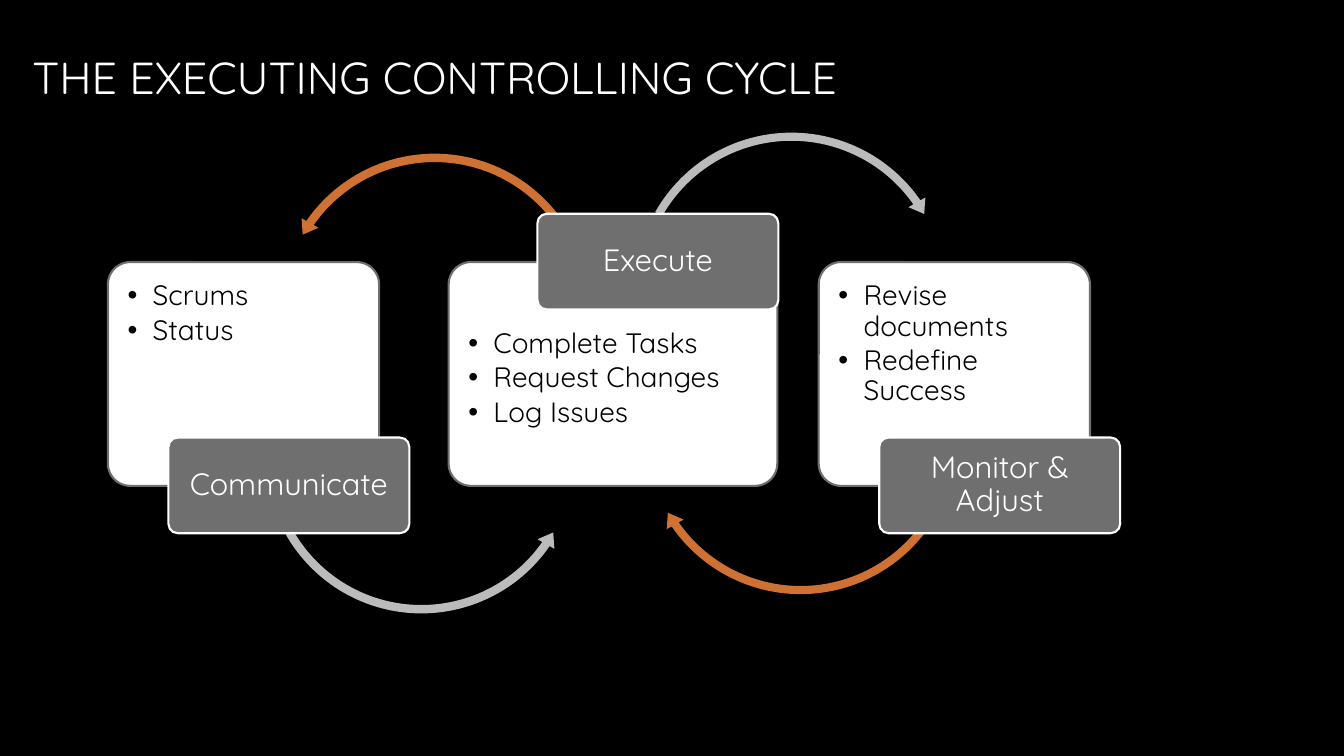
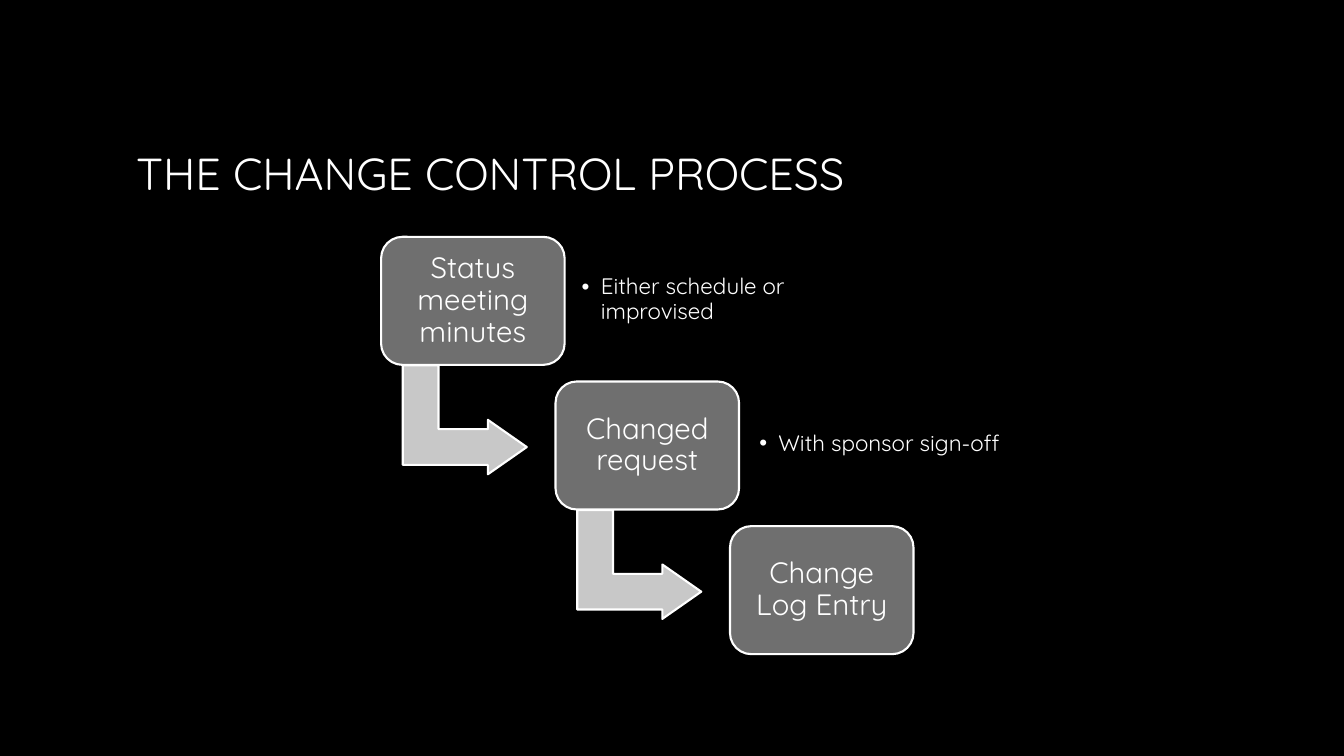
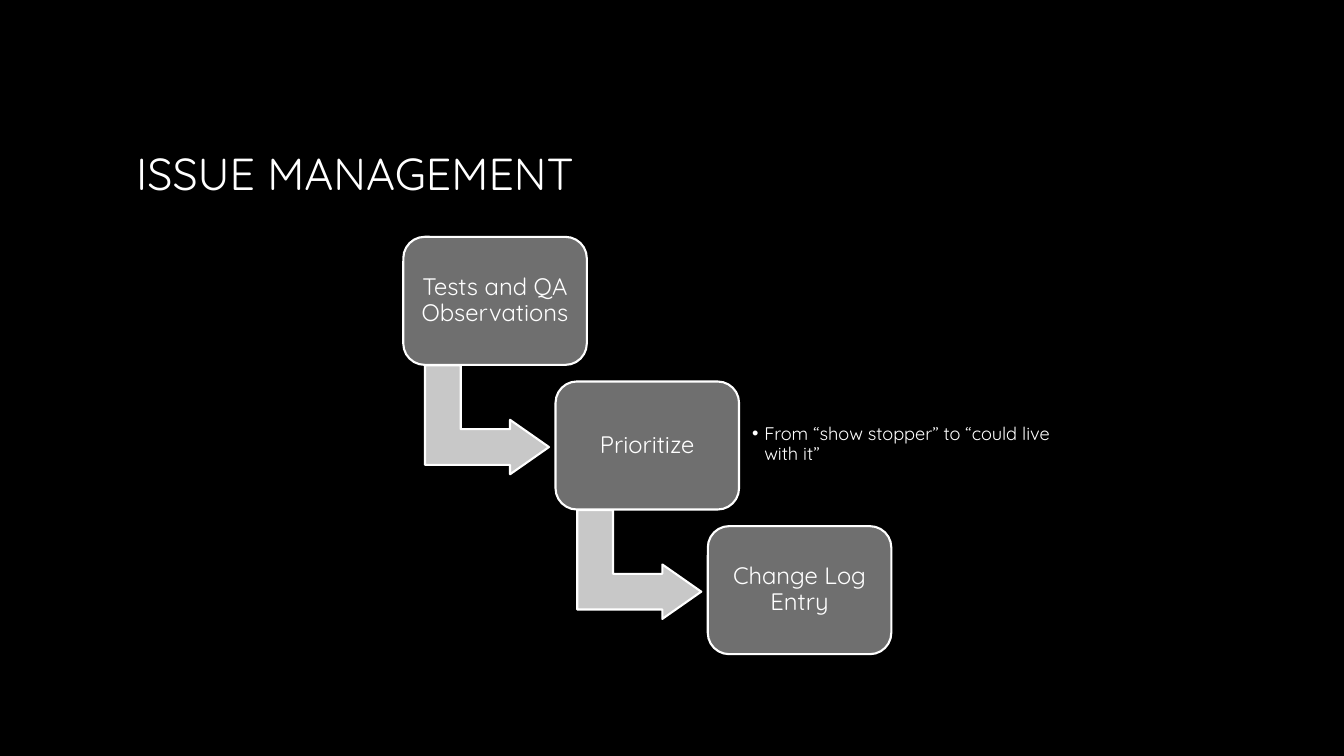
from dataclasses import dataclass

from lxml.etree import SubElement
from pptx import Presentation
from pptx.dml.color import RGBColor
from pptx.enum.shapes import MSO_SHAPE as Preset
from pptx.enum.text import MSO_ANCHOR as Anchor, PP_ALIGN as Align
from pptx.oxml.ns import qn
from pptx.util import Inches, Pt

FONT = "Quicksand"
BLACK = "000000"
WHITE = "FFFFFF"
GRAY = "6F6F6F"
SILVER = "BBBBBB"
ARROW_GRAY = "C8C8C8"
ORANGE = "CF7133"
OUTLINE = 1.5

CLOCKWISE = (Preset.CIRCULAR_ARROW, (0.025, 3.081, 195.164, 125.755, 0.03))
COUNTERCLOCKWISE = (Preset.LEFT_CIRCULAR_ARROW, (0.026, 3.1, 20.855, 90.245, 0.03))
BENT = (Preset.BENT_UP_ARROW, (0.328, 0.25, 0.358))
CARD = (Preset.ROUNDED_RECTANGLE, (0.1,))
STEP = (Preset.ROUNDED_RECTANGLE, (0.167,))


@dataclass(frozen=True)
class Box:
    left: float
    top: float
    width: float
    height: float

    def lengths(self) -> list:
        return [Inches(value) for value in (self.left, self.top, self.width, self.height)]


@dataclass(frozen=True)
class Arc:
    outline: tuple
    left: float
    top: float
    size: float
    color: str
    rotation: int = 0


@dataclass(frozen=True)
class Stage:
    name: str
    items: tuple
    left: float
    width: float
    label_left: float
    label_on_top: bool = False


@dataclass(frozen=True)
class Step:
    name: str
    note: str = ""
    note_left: float = 0
    note_width: float = 0


@dataclass(frozen=True)
class Staircase:
    title: str
    steps: tuple
    first_left: float
    last_left: float
    name_size: int
    note_size: int
    note_indent: float
    inset: float


ARCS = (
    Arc(CLOCKWISE, 6.33, 2.73, 3.22, ORANGE, 180),
    Arc(COUNTERCLOCKWISE, 2.71, 1.47, 3.2, ORANGE, 180),
    Arc(COUNTERCLOCKWISE, 2.58, 2.94, 3.2, SILVER),
    Arc(CLOCKWISE, 6.24, 1.26, 3.22, SILVER),
)
STAGES = (
    Stage("Communicate", ("Scrums", "Status"), 1.07, 2.69, 1.67),
    Stage("Execute", ("Complete Tasks", "Request Changes", "Log Issues"), 4.45, 3.26, 5.33, True),
    Stage("Monitor & Adjust", ("Revise documents", "Redefine Success"), 8.12, 2.69, 8.72),
)
STAIRCASES = (
    Staircase(
        "THE CHANGE CONTROL PROCESS",
        (
            Step("Status meeting minutes", "Either schedule or improvised", 5.68, 2.24),
            Step("Changed request", "With sponsor sign-off", 7.44, 2.85),
            Step("Change Log Entry"),
        ),
        3.78, 7.24, 21, 16, 0.19, 0.09,
    ),
    Staircase(
        "ISSUE MANAGEMENT",
        (
            Step("Tests and QA Observations"),
            Step("Prioritize", "From “show stopper” to “could live with it”", 7.39, 3.16),
            Step("Change Log Entry"),
        ),
        4, 7.02, 17, 13, 0.12, 0.07,
    ),
)


def paint(color_holder, color: str) -> None:
    if hasattr(color_holder, "solid"):
        color_holder.solid()
        color_holder = color_holder.fore_color
    else:
        color_holder = color_holder.color
    color_holder.rgb = RGBColor.from_string(color)


def add_preset(slide, outline: tuple, box: Box, color: str, line: str = "", rotation: int = 0):
    preset, adjustments = outline
    shape = slide.shapes.add_shape(preset, *box.lengths())
    for index, value in enumerate(adjustments):
        shape.adjustments[index] = value
    shape.rotation = rotation
    shape.shadow.inherit = False
    paint(shape.fill, color)
    if line:
        paint(shape.line, line)
        shape.line.width = Pt(OUTLINE)
    else:
        shape.line.fill.background()
    return shape


def add_bullet(paragraph, indent: float) -> None:
    properties = paragraph._p.get_or_add_pPr()
    properties.set("marL", str(Inches(indent)))
    properties.set("indent", str(-Inches(indent)))
    SubElement(properties, qn("a:buFont")).set("typeface", "Arial")
    SubElement(properties, qn("a:buChar")).set("char", "•")


def write(shape, lines: tuple, size: int, color: str, insets: tuple,
          anchor=Anchor.MIDDLE, indent: float = 0) -> None:
    frame = shape.text_frame
    frame.word_wrap = True
    frame.vertical_anchor = anchor
    frame.margin_left, frame.margin_top, frame.margin_right, frame.margin_bottom = map(Inches, insets)
    frame.text = "\n".join(lines)
    for paragraph in frame.paragraphs:
        paragraph.line_spacing = 0.9
        paragraph.alignment = Align.LEFT if indent else Align.CENTER
        paragraph.font.name = FONT
        paragraph.font.size = Pt(size)
        paint(paragraph.font.fill, color)
        if indent:
            paragraph.space_after = Pt(round(size * 0.15))
            add_bullet(paragraph, indent)


def add_title(slide, text: str, left: float, top: float) -> None:
    title = slide.shapes.title
    title.left, title.top, title.width, title.height = Box(left, top, 10.83, 2.08).lengths()
    title.text_frame.text = text
    title.text_frame.vertical_anchor = Anchor.MIDDLE
    paragraph = title.text_frame.paragraphs[0]
    paragraph.alignment = Align.LEFT
    paragraph.font.name = FONT
    paragraph.font.size = Pt(32)
    paint(paragraph.font.fill, WHITE)


def add_stage(slide, stage: Stage) -> None:
    side, label_side = 0.13, 0.6
    top_inset, bottom_inset = (label_side, side) if stage.label_on_top else (side, label_side)
    card = add_preset(slide, CARD, Box(stage.left, 2.6, stage.width, 2.22), WHITE, GRAY)
    write(card, stage.items, 20, BLACK, (side, top_inset, side, bottom_inset), Anchor.TOP, 0.25)
    label_top = 2.12 if stage.label_on_top else 4.34
    label = add_preset(slide, CARD, Box(stage.label_left, label_top, 2.39, 0.95), GRAY, WHITE)
    write(label, (stage.name,), 22, WHITE, (0.04, 0.03, 0.04, 0.03))


def add_cycle(slide) -> None:
    add_title(slide, "THE EXECUTING CONTROLLING CYCLE", 0.22, -0.28)
    for arc in ARCS:
        add_preset(slide, arc.outline, Box(arc.left, arc.top, arc.size, arc.size), arc.color,
                   rotation=arc.rotation)
    for stage in STAGES:
        add_stage(slide, stage)


def add_staircase(slide, staircase: Staircase) -> None:
    add_title(slide, staircase.title, 1.25, 0.67)
    first_top, last_top = 2.35, 5.22
    last = len(staircase.steps) - 1
    insets = (staircase.inset,) * 4
    for index, step in enumerate(staircase.steps):
        left = staircase.first_left + (staircase.last_left - staircase.first_left) * index / last
        top = first_top + (last_top - first_top) * index / last
        if index < last:
            add_preset(slide, BENT, Box(left + 0.29, top + 1.2, 1.08, 1.23), ARROW_GRAY, WHITE, 90)
        block = add_preset(slide, STEP, Box(left, top, 1.82, 1.27), GRAY, WHITE)
        write(block, (step.name,), staircase.name_size, WHITE, insets)
        if step.note:
            note_box = Box(step.note_left, top + 0.11, step.note_width, 1.03)
            note = slide.shapes.add_textbox(*note_box.lengths())
            write(note, (step.note,), staircase.note_size, WHITE, insets,
                  indent=staircase.note_indent)


def main() -> None:
    presentation = Presentation()
    presentation.slide_width = Inches(13.33)
    presentation.slide_height = Inches(7.5)
    paint(presentation.slide_master.background.fill, BLACK)
    title_only = presentation.slide_layouts[5]
    add_cycle(presentation.slides.add_slide(title_only))
    for staircase in STAIRCASES:
        add_staircase(presentation.slides.add_slide(title_only), staircase)
    presentation.save("out.pptx")


if __name__ == "__main__":
    main()
